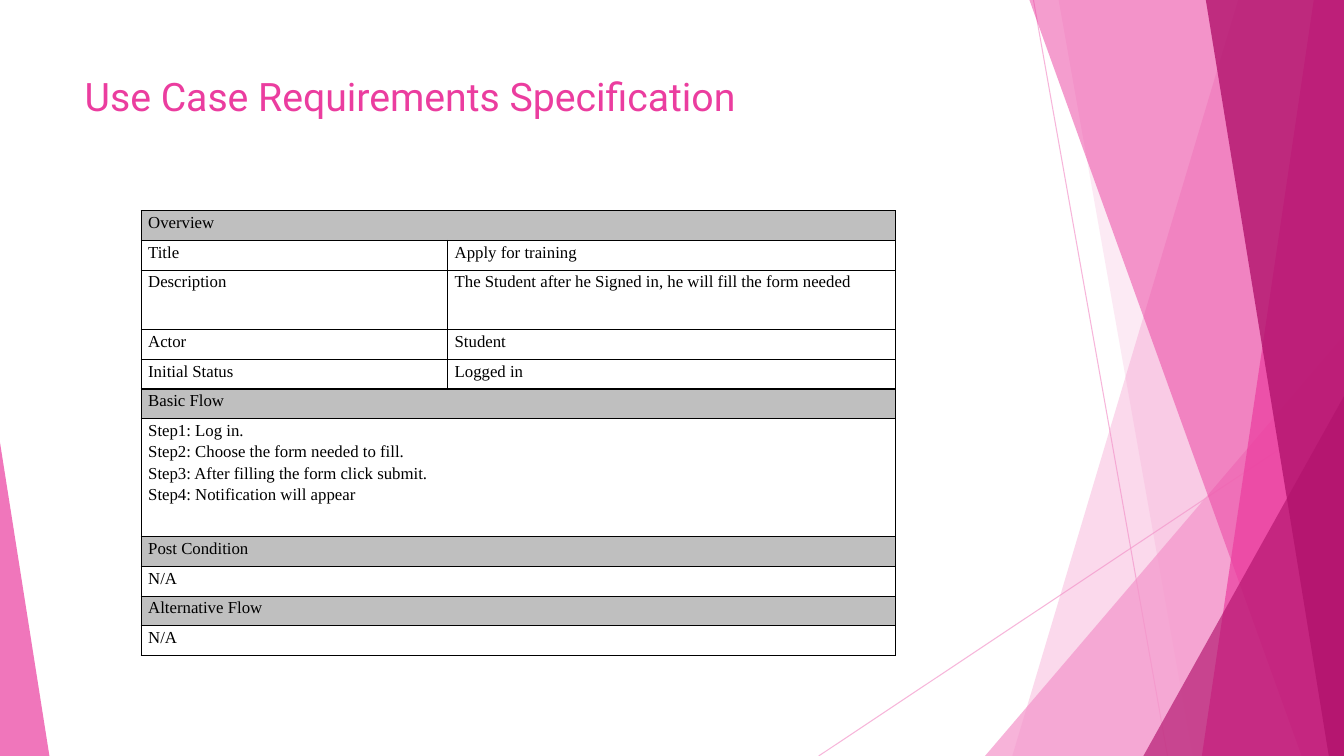
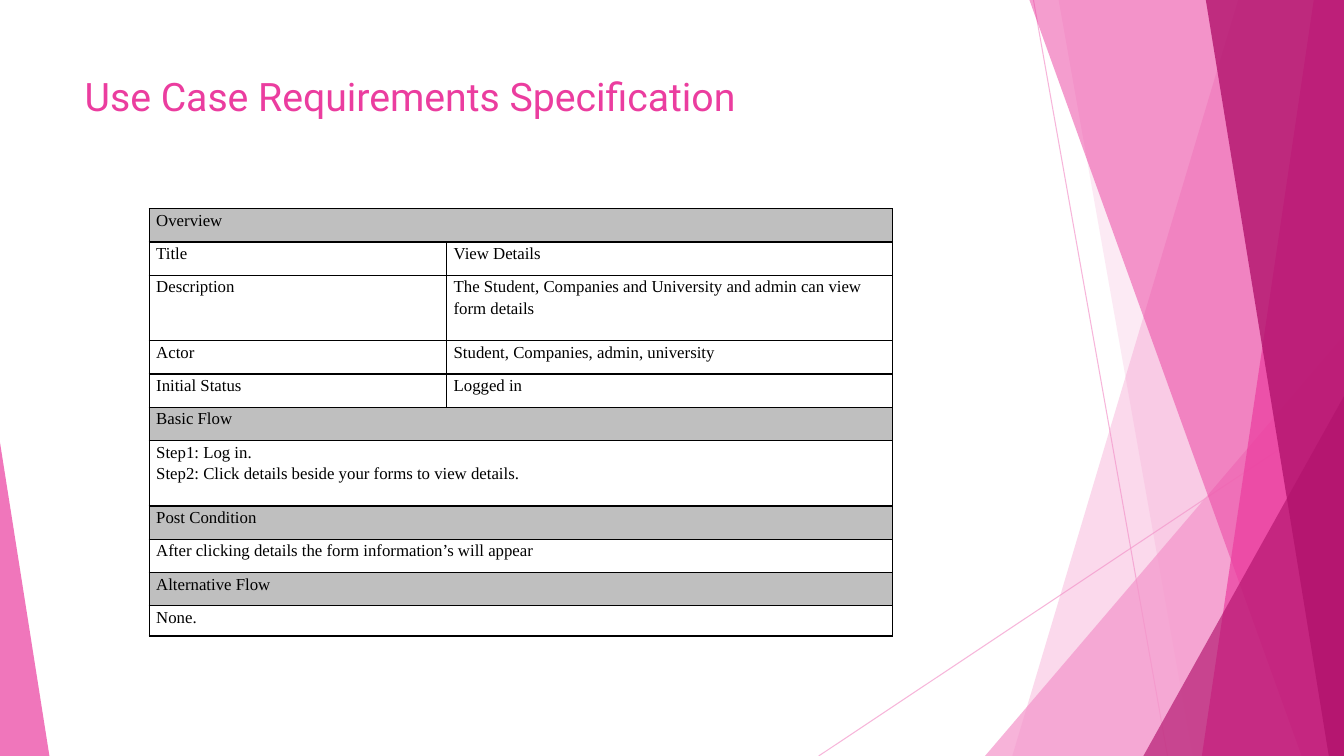
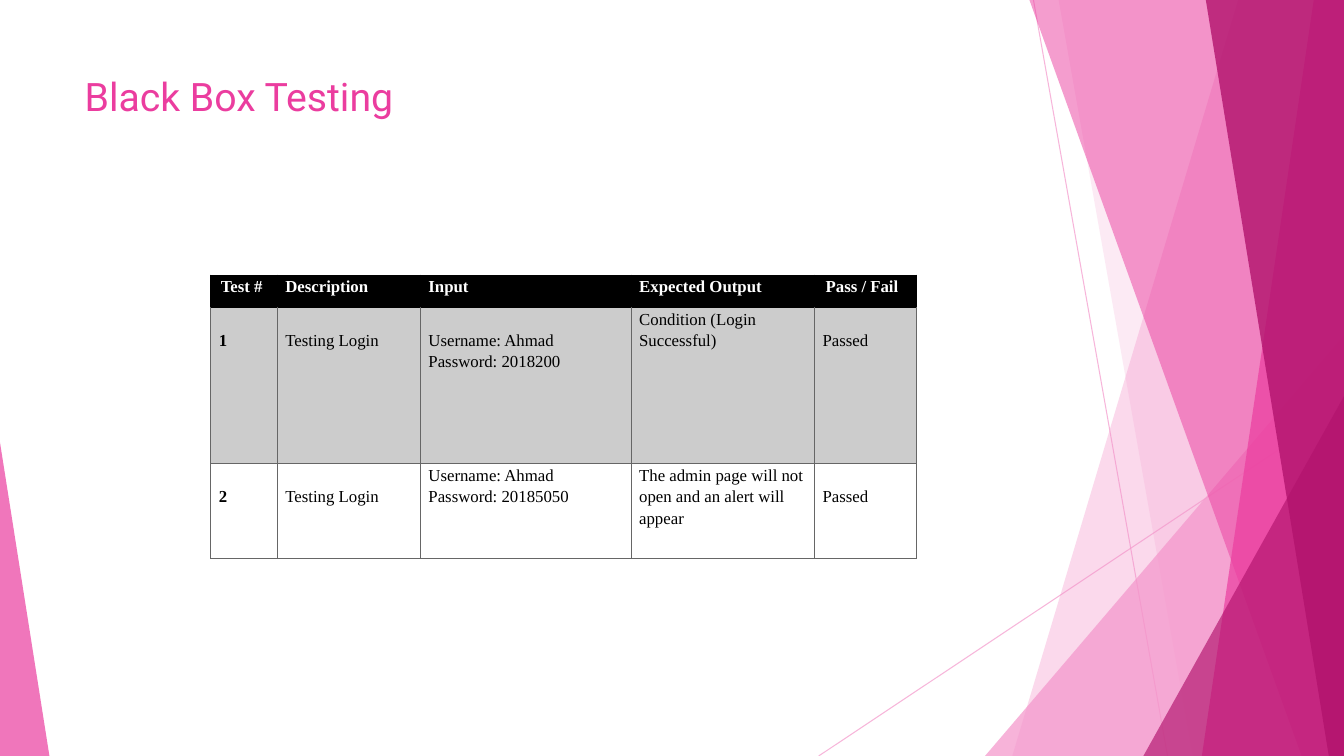
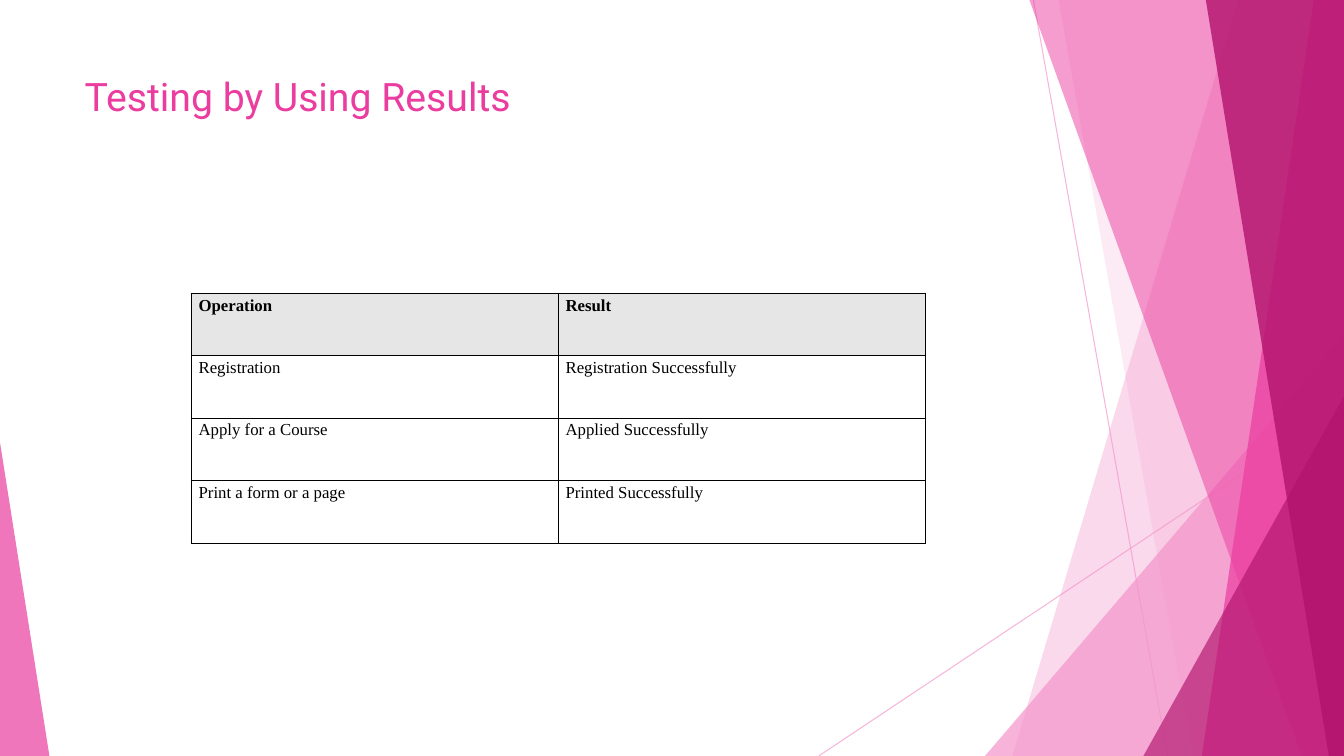
import pptx
import pptx.util
import pptx.dml.color
import pptx.enum.shapes
import pptx.enum.text
import pptx.oxml
import pptx.oxml.ns

Inches = pptx.util.Inches
RGBColor = pptx.dml.color.RGBColor
qn = pptx.oxml.ns.qn

LIGHT_PINK = RGBColor(0xF4, 0x96, 0xCB)
PINK = RGBColor(0xEB, 0x3D, 0x9F)
DARK_PINK = RGBColor(0xB2, 0x13, 0x6D)
BLACK = RGBColor(0, 0, 0)
WHITE = RGBColor(0xFF, 0xFF, 0xFF)
RULE_GREY = RGBColor(0x66, 0x66, 0x66)
SECTION_GREY = RGBColor(0xBF, 0xBF, 0xBF)
ROW_GREY = RGBColor(0xCC, 0xCC, 0xCC)
HEADER_GREY = RGBColor(0xE7, 0xE6, 0xE6)

SLIDE_WIDTH, SLIDE_HEIGHT = 13.33, 7.5
TITLE_FONT, TABLE_FONT = "Roboto", "Times New Roman"
TEXT_LINE = 0.21
SECTION_ROWS = (0, 5, 7, 9)


def write(frame, text, font=TABLE_FONT, size=12, color=BLACK, bold=False, spacing=1.15):
    """Fill a text frame, one paragraph per line of text."""
    frame.text = text
    for paragraph in frame.paragraphs:
        paragraph.alignment = pptx.enum.text.PP_ALIGN.LEFT
        paragraph.line_spacing = spacing
        paragraph.font.name = font
        paragraph.font.size = pptx.util.Pt(size)
        paragraph.font.bold = bold
        paragraph.font.color.rgb = color


def set_opacity(shape, percent):
    """Set the opacity of the solid colour of a shape or line."""
    color = shape.element.find(f".//{qn('a:solidFill')}/{qn('a:srgbClr')}")
    color.append(pptx.oxml.parse_xml(
        f'<a:alpha {pptx.oxml.ns.nsdecls("a")} val="{percent * 1000}"/>'))


def paint(shape, color, opacity):
    """Give a shape a translucent fill without line or shadow."""
    shape.shadow.inherit = False
    shape.line.fill.background()
    shape.fill.solid()
    shape.fill.fore_color.rgb = color
    set_opacity(shape, opacity)


def add_ray(slide, start, end):
    """Draw one thin pink line."""
    ray = slide.shapes.add_connector(
        pptx.enum.shapes.MSO_CONNECTOR.STRAIGHT, *map(Inches, start + end))
    ray.line.color.rgb = LIGHT_PINK
    ray.line.width = pptx.util.Pt(0.75)
    set_opacity(ray, 70)
    ray.element.spPr.append(
        pptx.oxml.parse_xml(f'<a:effectLst {pptx.oxml.ns.nsdecls("a")}/>'))


def add_band(slide, top_x, bottom_x, color, opacity):
    """Draw a full-height band from a slanted left edge to the right side."""
    outline = slide.shapes.build_freeform(Inches(top_x), 0)
    outline.add_line_segments([
        (Inches(x), Inches(y)) for x, y in
        ((SLIDE_WIDTH, 0), (SLIDE_WIDTH, SLIDE_HEIGHT), (bottom_x, SLIDE_HEIGHT))])
    paint(outline.convert_to_shape(), color, opacity)


def add_corner(slide, left, top, width, apex, color, opacity):
    """Draw a right triangle standing on the bottom edge."""
    corner = slide.shapes.add_shape(
        pptx.enum.shapes.MSO_SHAPE.ISOSCELES_TRIANGLE,
        *map(Inches, (left, top, width, SLIDE_HEIGHT - top)))
    corner.adjustments[0] = apex
    paint(corner, color, opacity)


def add_backdrop(slide, layout):
    """Draw the facets and hand them to the layout that all slides share."""
    add_ray(slide, (10.25, 0), (11.58, 7.5))
    add_ray(slide, (13.33, 4.03), (8.12, 7.5))
    add_band(slide, 12.28, 10.04, LIGHT_PINK, 36)
    add_band(slide, 10.5, 11.83, LIGHT_PINK, 20)
    add_corner(slide, 9.77, 3.33, 3.56, 1, LIGHT_PINK, 72)
    add_band(slide, 10.21, 12.91, PINK, 50)
    add_band(slide, 13.03, 11.92, PINK, 70)
    add_band(slide, 11.96, 13.18, DARK_PINK, 80)
    add_corner(slide, 11.34, 3.93, 1.99, 1, DARK_PINK, 66)
    add_corner(slide, 0, 4.39, 0.49, 0, PINK, 70)
    facets = [shape for shape in slide.shapes if not shape.is_placeholder]
    for number, facet in enumerate(facets, 100):
        facet.element.find(f".//{qn('p:cNvPr')}").set("id", str(number))
        layout.shapes.element.append(facet.element)


def add_title(slide, text, height):
    """Place and format the slide title."""
    title = slide.shapes.title
    title.left, title.top, title.width, title.height = map(
        Inches, (0.74, 0.67, 9.4, height))
    frame = title.text_frame
    frame.vertical_anchor = pptx.enum.text.MSO_ANCHOR.TOP
    frame.auto_size = pptx.enum.text.MSO_AUTO_SIZE.NONE
    frame.word_wrap = True
    write(frame, text, font=TITLE_FONT, size=28, color=PINK, spacing=1)


def rule_cell(cell, color, top_color):
    """Draw the four borders of a cell."""
    properties = cell._tc.get_or_add_tcPr()
    for side in "LRTB":
        side_color = top_color if side == "T" else color
        properties.append(pptx.oxml.parse_xml(
            f'<a:ln{side} {pptx.oxml.ns.nsdecls("a")} w="12700"><a:solidFill>'
            f'<a:srgbClr val="{side_color}"/></a:solidFill></a:ln{side}>'))


def add_grid(slide, left, top, widths, heights, rules, fills, insets=(0.07, 0.08)):
    """Add a table with ruled, filled and empty cells."""
    grid = slide.shapes.add_table(
        len(heights), len(widths),
        *map(Inches, (left, top, sum(widths), sum(heights)))).table
    grid.first_row = grid.horz_banding = False
    for column, width in zip(grid.columns, widths):
        column.width = Inches(width)
    for index, (row, height) in enumerate(zip(grid.rows, heights)):
        row.height = Inches(height)
        for cell in row.cells:
            rule_cell(cell, rules[index], rules[max(index - 1, 0)])
            cell.margin_left, cell.margin_right = map(Inches, insets)
            cell.margin_top = cell.margin_bottom = 0
            if fills[index] is None:
                cell.fill.background()
            else:
                cell.fill.solid()
                cell.fill.fore_color.rgb = fills[index]
    return grid


def add_use_case(slide, left, top, widths, heights, facts, steps, post, alternative):
    """Add a use case table with its overview, flow and conditions."""
    rows = [("Overview",),
            *zip(("Title", "Description", "Actor", "Initial Status"), facts),
            ("Basic Flow",), (steps,),
            ("Post Condition",), (post,),
            ("Alternative Flow",), (alternative,)]
    fills = [SECTION_GREY if i in SECTION_ROWS else None for i in range(len(rows))]
    grid = add_grid(slide, left, top, widths, heights, [BLACK] * len(rows), fills)
    for index, texts in enumerate(rows):
        if len(texts) == 1:
            grid.cell(index, 0).merge(grid.cell(index, 1))
        for column, text in enumerate(texts):
            write(grid.cell(index, column).text_frame, text)


def add_test_cases(slide, left, top):
    """Add the table of black box tests."""
    rows = [("Test #", "Description", "Input", "Expected Output", "Pass / Fail"),
            ("1", "Testing Login", "Username: Ahmad\nPassword: 2018200",
             "Condition (Login\nSuccessful)", "Passed"),
            ("2", "Testing Login", "Username: Ahmad Password: 20185050",
             "The admin page will not open and an alert will appear", "Passed")]
    lowered_columns = ((), (0, 1, 2, 4), (0, 1, 4))
    grid = add_grid(slide, left, top, (0.66, 1.42, 2.09, 1.82, 1.01),
                    (0.32, 1.55, 0.94), (BLACK, RULE_GREY, RULE_GREY),
                    (BLACK, ROW_GREY, None), insets=(0.08, 0.04))
    for index, texts in enumerate(rows):
        header = index == 0
        for column, text in enumerate(texts):
            cell = grid.cell(index, column)
            if column in lowered_columns[index]:
                cell.margin_top = Inches(TEXT_LINE)
            write(cell.text_frame, text, color=WHITE if header else BLACK,
                  bold=header or column == 0)
    grid.cell(0, 0).margin_left = Inches(0.1)
    grid.cell(0, 4).margin_left = Inches(0.11)


def add_results(slide, left, top):
    """Add the table of operations and their results."""
    rows = (("Operation", "Result"),
            ("Registration", "Registration Successfully"),
            ("Apply for a Course", "Applied Successfully"),
            ("Print a form or a page", "Printed Successfully"))
    grid = add_grid(slide, left, top, (3.64, 3.64), [0.62] * len(rows),
                    [BLACK] * len(rows), (HEADER_GREY, None, None, None))
    for index, texts in enumerate(rows):
        for column, text in enumerate(texts):
            write(grid.cell(index, column).text_frame, text, bold=index == 0)


def main():
    """Build and save the presentation."""
    deck = pptx.Presentation()
    deck.slide_width, deck.slide_height = Inches(SLIDE_WIDTH), Inches(SLIDE_HEIGHT)
    layout = deck.slide_layouts[5]
    titles = (("Use Case Requirements Specification", 0.88),
              ("Use Case Requirements Specification", 0.81),
              ("Black Box Testing", 0.74),
              ("Testing by Using Results", 0.8))
    slides = [deck.slides.add_slide(layout) for _ in titles]
    add_backdrop(slides[0], layout)
    for slide, (title, height) in zip(slides, titles):
        add_title(slide, title, height)
    apply_slide, details_slide, tests_slide, results_slide = slides

    add_use_case(
        apply_slide, 1.4, 2.09, (3.04, 4.44),
        [0.295, 0.295, 0.59] + [0.295] * 3 + [1.17] + [0.295] * 4,
        ("Apply for training",
         "The Student after he Signed in, he will fill the form needed",
         "Student", "Logged in"),
        "Step1: Log in.\nStep2: Choose the form needed to fill.\n"
        "Step3: After filling the form click submit.\nStep4: Notification will appear",
        "N/A", "N/A")
    add_use_case(
        details_slide, 1.48, 2.07, (2.95, 4.42),
        [0.33, 0.33, 0.65] + [0.33] * 3 + [0.65] + [0.33] * 3 + [0.3],
        ("View Details",
         "The Student, Companies and University and admin can view form details",
         "Student, Companies, admin, university", "Logged in"),
        "Step1: Log in.\nStep2: Click details beside your forms to view details.",
        "After clicking details the form information’s will appear", "None.")
    add_test_cases(tests_slide, 2.09, 2.73)
    add_results(results_slide, 1.9, 2.91)
    deck.save("out.pptx")


if __name__ == "__main__":
    main()
